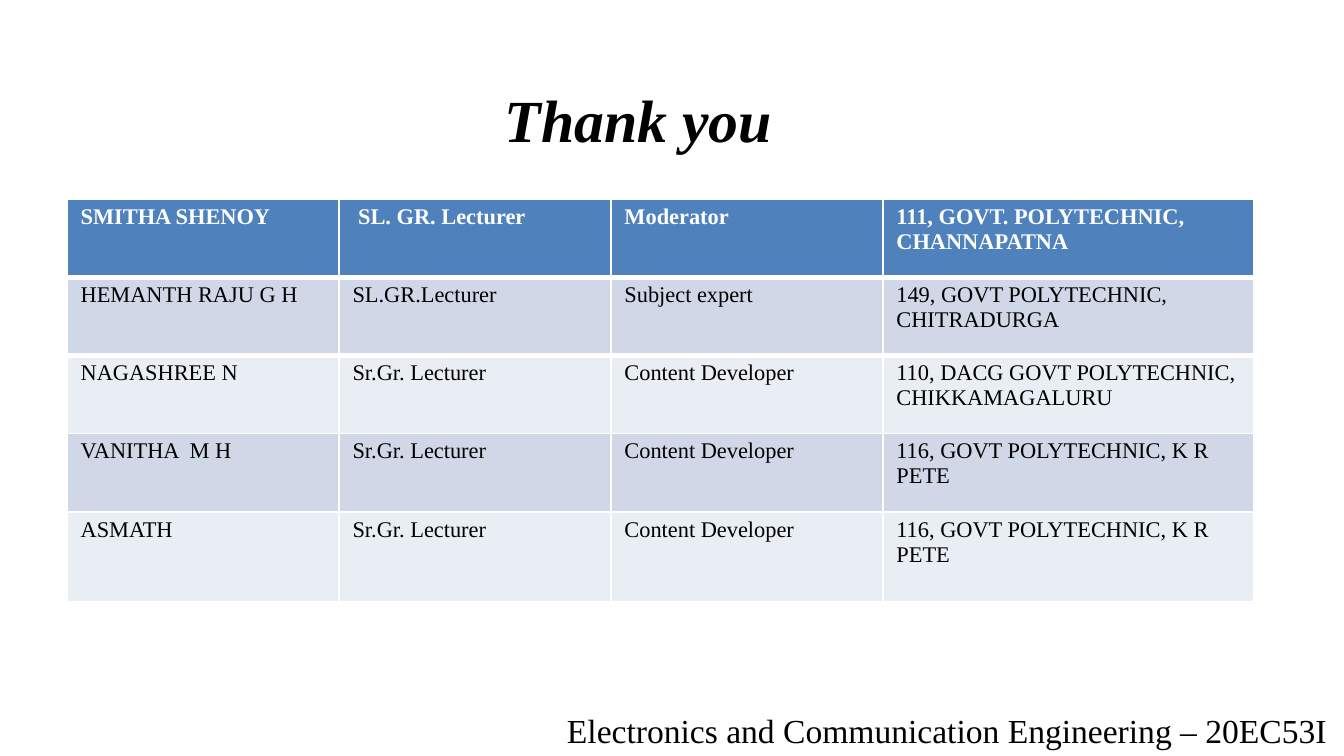
from lxml import etree
from pptx import Presentation
from pptx.dml.color import RGBColor
from pptx.enum import text
from pptx.oxml.ns import qn
from pptx.util import Inches, Pt

# Content
TITLE = "Thank you"
COURSE = "Electronics and Communication Engineering – 20EC53I"
STAFF = [
    ("SMITHA SHENOY", " SL. GR. Lecturer", "Moderator",
     "111, GOVT. POLYTECHNIC, CHANNAPATNA"),
    ("HEMANTH RAJU G H", "SL.GR.Lecturer", "Subject expert",
     "149, GOVT POLYTECHNIC, CHITRADURGA"),
    ("NAGASHREE N", "Sr.Gr. Lecturer", "Content Developer",
     "110, DACG GOVT POLYTECHNIC, CHIKKAMAGALURU"),
    ("VANITHA  M H", "Sr.Gr. Lecturer", "Content Developer",
     "116, GOVT POLYTECHNIC, K R PETE"),
    ("ASMATH", "Sr.Gr. Lecturer", "Content Developer",
     "116, GOVT POLYTECHNIC, K R PETE"),
]

# The last column and the last row are larger; the others share the rest
WIDE, TALL = 8.83, 3
LAST_COL, LAST_ROW = 2.76, 0.67
WIDTHS = [(WIDE - LAST_COL) / 3] * 3 + [LAST_COL]
HEIGHTS = [(TALL - LAST_ROW) / 4] * 4 + [LAST_ROW]

THEME = {
    "font": "Times New Roman",
    "title": 32, "course": 18, "cell": 12,
    "ink": "000000", "light": "FFFFFF",
    "head": "4F81BD", "bands": ("D0D8E8", "E9EDF4"),
    "rule": 3,
}


def style(frame, size, ink="ink", bold=False, italic=False):
    font = frame.paragraphs[0].font
    font.name = THEME["font"]
    font.size = Pt(THEME[size])
    font.color.rgb = RGBColor.from_string(THEME[ink])
    font.bold, font.italic = bold, italic


def edge(cell, side):
    """Draw a thick rule on one side of a cell."""
    line = etree.Element(qn("a:" + side), w=str(Pt(THEME["rule"])))
    fill = etree.SubElement(line, qn("a:solidFill"))
    etree.SubElement(fill, qn("a:srgbClr"), val=THEME["light"])
    cell._tc.get_or_add_tcPr().insert(0, line)


deck = Presentation()
deck.slide_width = Inches(10)
deck.slide_height = deck.slide_width * 9 // 16
slide = deck.slides.add_slide(deck.slide_layouts[5])

# Title
title = slide.shapes.title
title.left, title.top = Inches(3.25), Inches(0.56)
title.width, title.height = Inches(3), Inches(0.64)
title.text_frame.text = TITLE
title.text_frame.paragraphs[0].alignment = text.PP_ALIGN.CENTER
style(title.text_frame, "title", bold=True, italic=True)

# Course name
course = slide.shapes.add_textbox(Inches(4.12), Inches(5.23), Inches(6.21), Inches(0.4))
course.text_frame.word_wrap = True
course.text_frame.text = COURSE
style(course.text_frame, "course")

# Staff table; the default table style draws the thin white rules
table = slide.shapes.add_table(
    len(STAFF), len(WIDTHS), Inches(0.5), Inches(1.48),
    Inches(WIDE), Inches(TALL)).table
for col, width in zip(table.columns, WIDTHS):
    col.width = Inches(width)
for i, (row, height) in enumerate(zip(table.rows, HEIGHTS)):
    row.height = Inches(height)
    head = i == 0
    shade = THEME["head"] if head else THEME["bands"][(i - 1) % 2]
    for cell, words in zip(row.cells, STAFF[i]):
        cell.fill.solid()
        cell.fill.fore_color.rgb = RGBColor.from_string(shade)
        cell.margin_top = cell.margin_bottom = Inches(0.04)
        cell.text_frame.text = words
        style(cell.text_frame, "cell", "light" if head else "ink", bold=head)
        if i < 2:
            edge(cell, "lnB" if head else "lnT")

deck.save("out.pptx")
